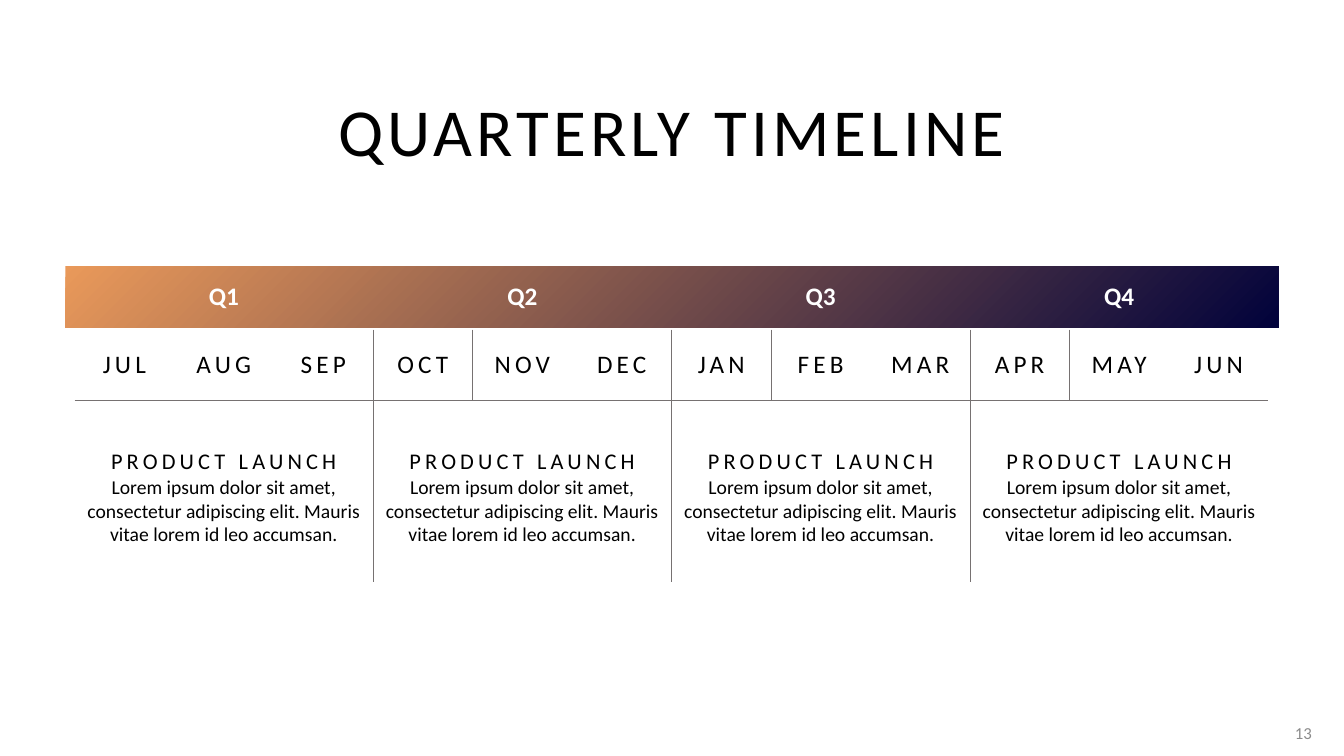
"""Build the quarterly timeline slide."""
from dataclasses import dataclass

from lxml.etree import SubElement
from pptx import Presentation
from pptx.dml.color import RGBColor
from pptx.enum.shapes import MSO_SHAPE
from pptx.enum.text import MSO_ANCHOR, PP_ALIGN
from pptx.oxml.ns import qn
from pptx.util import Inches, Pt

HUES = {"ink": "000000", "white": "FFFFFF", "rule": "767171",
        "page": "8B8B8B", "sand": "E9995A", "navy": "01023B"}
PLAIN = "{2D5ABB26-0587-4C30-8999-92F81FD0307C}"
LOREM = ("Lorem ipsum dolor sit amet, consectetur adipiscing elit. "
         "Mauris vitae lorem id leo accumsan.")


@dataclass(frozen=True)
class Style:
    size: int
    hue: str = "ink"
    bold: bool = False
    track: int = 0
    align: PP_ALIGN = PP_ALIGN.CENTER
    lead: float = 1.0


@dataclass(frozen=True)
class Quarter:
    name: str
    months: tuple[str, str, str]
    head: str = "PRODUCT LAUNCH"
    body: str = LOREM


TITLE = Style(48, track=3)
LABEL = Style(18, "white", bold=True)
MONTH = Style(18, track=3)
HEAD = Style(16, track=3, lead=1.5)
BODY = Style(14)
PAGE = Style(12, "page", align=PP_ALIGN.RIGHT)

YEAR = [
    Quarter("Q1", ("JUL", "AUG", "SEP")),
    Quarter("Q2", ("OCT", "NOV", "DEC")),
    Quarter("Q3", ("JAN", "FEB", "MAR")),
    Quarter("Q4", ("APR", "MAY", "JUN")),
]


def write(frame, *lines: tuple[str, Style]) -> None:
    """Fill a text frame with one styled paragraph per line."""
    frame.word_wrap = True
    for i, (text, style) in enumerate(lines):
        para = frame.add_paragraph() if i else frame.paragraphs[0]
        para.text = text
        para.alignment = style.align
        para.line_spacing = style.lead
        font = para.font
        font.name, font.size, font.bold = "Calibri", Pt(style.size), style.bold
        font.color.rgb = RGBColor.from_string(HUES[style.hue])
        for run in para.runs:
            run._r.get_or_add_rPr().set("spc", str(style.track * 100))


def edge(cell, sides: str) -> None:
    """Draw thin rules on the given sides of a cell."""
    props = cell._tc.get_or_add_tcPr()
    for side in sides:
        line = SubElement(props, qn(f"a:ln{side}"), w=str(Pt(0.25)))
        fill = SubElement(line, qn("a:solidFill"))
        SubElement(fill, qn("a:srgbClr"), val=HUES["rule"])


def add_band(slide) -> None:
    """Add the gradient band behind the quarter names."""
    band = slide.shapes.add_shape(MSO_SHAPE.RECTANGLE, Inches(0.65), Inches(2.64),
                                  Inches(12.03), Inches(0.61))
    band.shadow.inherit = False
    band.line.fill.background()
    band.fill.gradient()
    band.fill.gradient_angle = 315
    for stop, hue, place in zip(band.fill.gradient_stops, ("sand", "navy"), (0, 1)):
        stop.color.rgb = RGBColor.from_string(HUES[hue])
        stop.position = place


def add_grid(slide, year: list[Quarter]) -> None:
    """Add the table of quarters, months and launches."""
    count = 3 * len(year)
    grid = slide.shapes.add_table(3, count, Inches(0.74), Inches(2.63),
                                  Inches(11.84), Inches(3.14)).table
    grid.first_row = grid.horz_banding = False
    grid._tbl.tblPr.find(qn("a:tableStyleId")).text = PLAIN
    for row, high in zip(grid.rows, (0.64, 0.7, 1.8)):
        row.height = Inches(high)
    for r in range(3):
        for c in range(count):
            cell = grid.cell(r, c)
            if r:
                left = "L" if c and c % 3 == 0 else ""
                right = "R" if c % 3 == 2 and c < count - 1 else ""
                edge(cell, left + right + ("B" if r == 1 else "T"))
            cell.fill.background()
            cell.vertical_anchor = MSO_ANCHOR.MIDDLE
    for i, part in enumerate(year):
        first, last = 3 * i, 3 * i + 2
        for r in (0, 2):
            grid.cell(r, first).merge(grid.cell(r, last))
        write(grid.cell(0, first).text_frame, (part.name, LABEL))
        for c, month in enumerate(part.months, first):
            write(grid.cell(1, c).text_frame, (month, MONTH))
        write(grid.cell(2, first).text_frame, (part.head, HEAD), (part.body, BODY))


def main() -> None:
    """Build and save the deck."""
    deck = Presentation()
    deck.slide_width, deck.slide_height = Inches(13.33), Inches(7.5)
    slide = deck.slides.add_slide(deck.slide_layouts[5])
    add_band(slide)
    title = slide.shapes.title
    title.left, title.top = Inches(0.65), Inches(0.84)
    title.width, title.height = Inches(12.03), Inches(0.9)
    title.text_frame.vertical_anchor = MSO_ANCHOR.MIDDLE
    write(title.text_frame, ("QUARTERLY TIMELINE", TITLE))
    add_grid(slide, YEAR)
    page = slide.shapes.add_textbox(Inches(12.63), Inches(7.07),
                                    Inches(0.48), Inches(0.4))
    page.text_frame.vertical_anchor = MSO_ANCHOR.MIDDLE
    write(page.text_frame, ("13", PAGE))
    deck.save("out.pptx")


if __name__ == "__main__":
    main()
